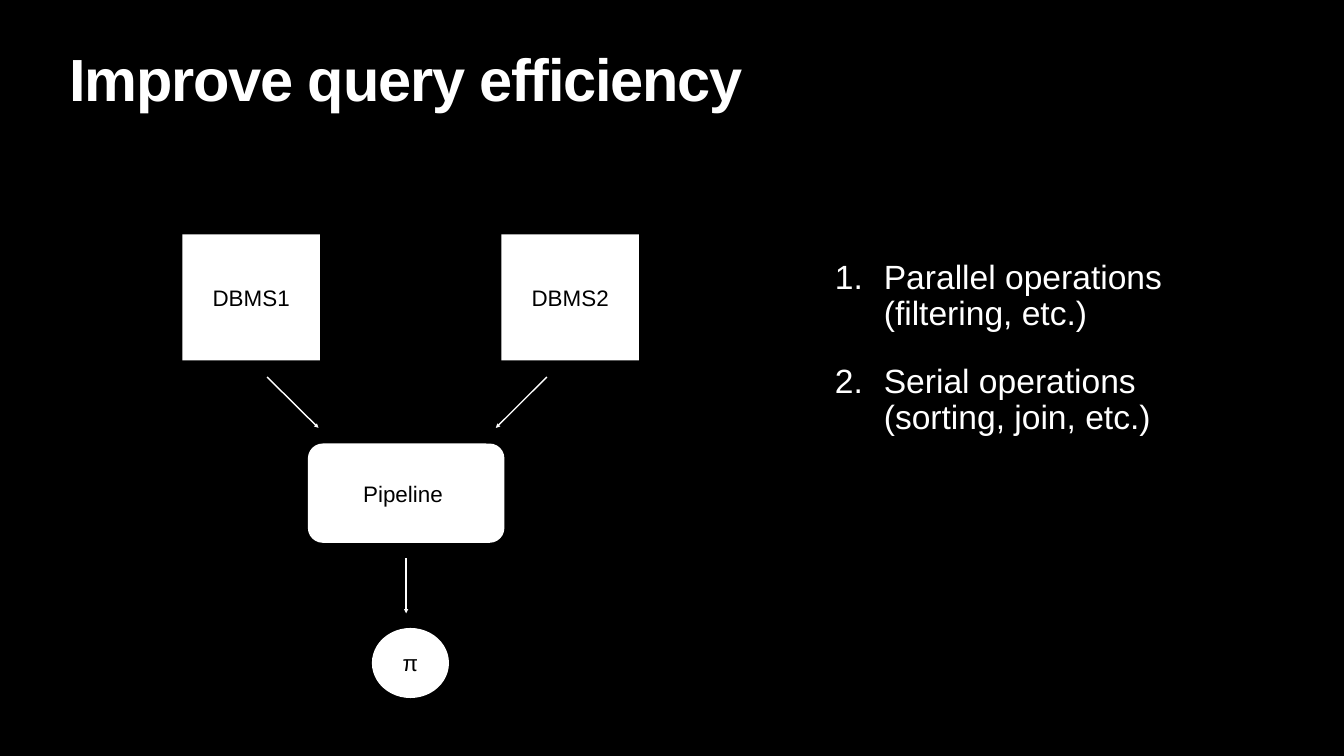
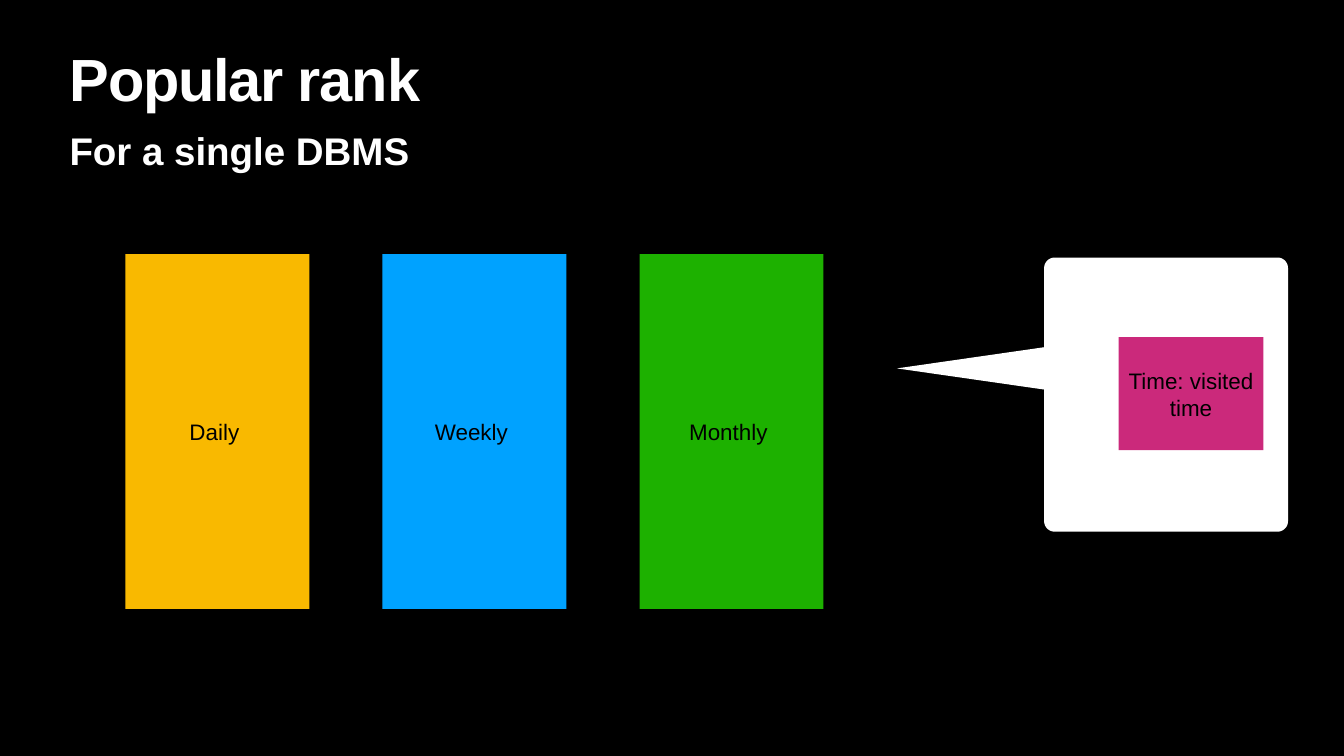
from math import cos, radians, sin

from lxml import etree
from pptx import Presentation
from pptx.dml.color import RGBColor
from pptx.enum import shapes, text
from pptx.oxml import ns
from pptx.util import Inches, Pt

BLACK = RGBColor(0x00, 0x00, 0x00)
WHITE = RGBColor(0xFF, 0xFF, 0xFF)
AMBER = RGBColor(0xF9, 0xB9, 0x00)
BLUE = RGBColor(0x00, 0xA2, 0xFF)
GREEN = RGBColor(0x1D, 0xB1, 0x00)
PINK = RGBColor(0xCB, 0x29, 0x7B)
FONT = "Arial"
SHAPE = shapes.MSO_SHAPE


class Painter:
    """Holds the shared style and the slide being drawn."""

    def __init__(self, deck):
        self.deck = deck
        self.page = None

    def new_page(self, title):
        self.page = self.deck.slides.add_slide(self.deck.slide_layouts[6])
        fill = self.page.background.fill
        fill.solid()
        fill.fore_color.rgb = BLACK
        para = self.text(1.32, 1.04, 24.03, 1.57, [title], 85, bold=True)[0]
        para.line_spacing = 0.8
        para._p.pPr.find(ns.qn("a:defRPr")).set("spc", "-170")

    def style(self, frame, lines, size, color, bold=False):
        frame.word_wrap = True
        frame.margin_left = frame.margin_right = Inches(0.06)
        frame.margin_top = frame.margin_bottom = Inches(0.06)
        frame.text = "\n".join(lines)
        for para in frame.paragraphs:
            font = para.font
            font.name, font.size, font.bold = FONT, Pt(size), bold
            font.color.rgb = color
        return frame.paragraphs

    def text(self, left, top, width, height, lines, size, bold=False):
        box = self.page.shapes.add_textbox(
            Inches(left), Inches(top), Inches(width), Inches(height))
        return self.style(box.text_frame, lines, size, WHITE, bold)

    def numbered(self, left, top, width, height, lines):
        for para in self.text(left, top, width, height, lines, 48):
            para.line_spacing = 0.9
            para.space_before = Pt(45)
            props = para._p.get_or_add_pPr()
            props.set("marL", str(Inches(0.97)))
            props.set("indent", str(-Inches(0.97)))
            number = etree.Element(ns.qn("a:buAutoNum"), type="arabicPeriod")
            props.find(ns.qn("a:defRPr")).addprevious(number)

    def paint(self, shape, color):
        shape.shadow.inherit = False
        shape.fill.solid()
        shape.fill.fore_color.rgb = color
        shape.line.fill.background()

    def block(self, kind, left, top, width, height, label, color=WHITE):
        box = self.page.shapes.add_shape(
            kind, Inches(left), Inches(top), Inches(width), Inches(height))
        self.paint(box, color)
        frame = box.text_frame
        frame.vertical_anchor = text.MSO_ANCHOR.MIDDLE
        for para in self.style(frame, [label], 32, BLACK):
            para.alignment = text.PP_ALIGN.CENTER
        return box

    def arrow(self, x1, y1, x2, y2):
        line = self.page.shapes.add_connector(
            shapes.MSO_CONNECTOR.STRAIGHT,
            Inches(x1), Inches(y1), Inches(x2), Inches(y2))
        line.line.color.rgb = WHITE
        line.line.width = Pt(2)
        etree.SubElement(line.line._get_or_add_ln(), ns.qn("a:tailEnd"),
                         type="triangle")
        etree.SubElement(line._element.spPr, ns.qn("a:effectLst"))

    def callout(self, left, top, right, bottom, radius, tip_x, tip_y, half):
        """Rounded box with a pointer on its left side."""
        points = [(left, tip_y + half), (tip_x, tip_y), (left, tip_y - half)]
        corners = [(left + radius, top + radius, 180),
                   (right - radius, top + radius, 270),
                   (right - radius, bottom - radius, 0),
                   (left + radius, bottom - radius, 90)]
        for x, y, start in corners:
            for angle in range(start, start + 91, 10):
                points.append((x + radius * cos(radians(angle)),
                               y + radius * sin(radians(angle))))
        points = [(Inches(x), Inches(y)) for x, y in points]
        outline = self.page.shapes.build_freeform(*points[0])
        outline.add_line_segments(points[1:], close=True)
        self.paint(outline.convert_to_shape(), WHITE)


deck = Presentation()
deck.slide_width, deck.slide_height = Inches(26.67), Inches(15)
painter = Painter(deck)

# Slide 1: two databases feed a pipeline
painter.new_page("Improve query efficiency ")
painter.numbered(16.51, 5.11, 9.24, 8.55, [
    "Parallel operations (filtering, etc.)",
    "Serial operations\v(sorting, join, etc.)"])
pipeline = painter.block(SHAPE.ROUNDED_RECTANGLE, 6.11, 8.8, 3.9, 1.97,
                         "Pipeline ")
pipeline.adjustments[0] = 0.15
for left, label in ((3.62, "DBMS1"), (9.95, "DBMS2")):
    painter.block(SHAPE.RECTANGLE, left, 4.65, 2.73, 2.5, label)
painter.arrow(5.3, 7.48, 6.32, 8.49)
painter.arrow(10.85, 7.48, 9.84, 8.49)
painter.arrow(8.06, 11.08, 8.06, 12.17)
painter.block(SHAPE.OVAL, 7.38, 12.46, 1.53, 1.39, "π")

# Slide 2: one rank per period, with a note on the stored field
painter.new_page("Popular rank ")
painter.text(1.32, 2.46, 24.03, 1.02, ["For a single DBMS "], 55, bold=True)
periods = (("Daily ", AMBER), ("Weekly ", BLUE), ("Monthly ", GREEN))
for index, (label, color) in enumerate(periods):
    painter.block(SHAPE.RECTANGLE, 2.49 + 5.1 * index, 5.04, 3.65, 7.04,
                  label, color)
painter.callout(20.72, 5.11, 25.56, 10.55, 0.21, 17.8, 7.31, 0.42)
painter.block(SHAPE.RECTANGLE, 22.2, 6.69, 2.87, 2.24,
              "Time: visited time", PINK)

deck.save("out.pptx")
